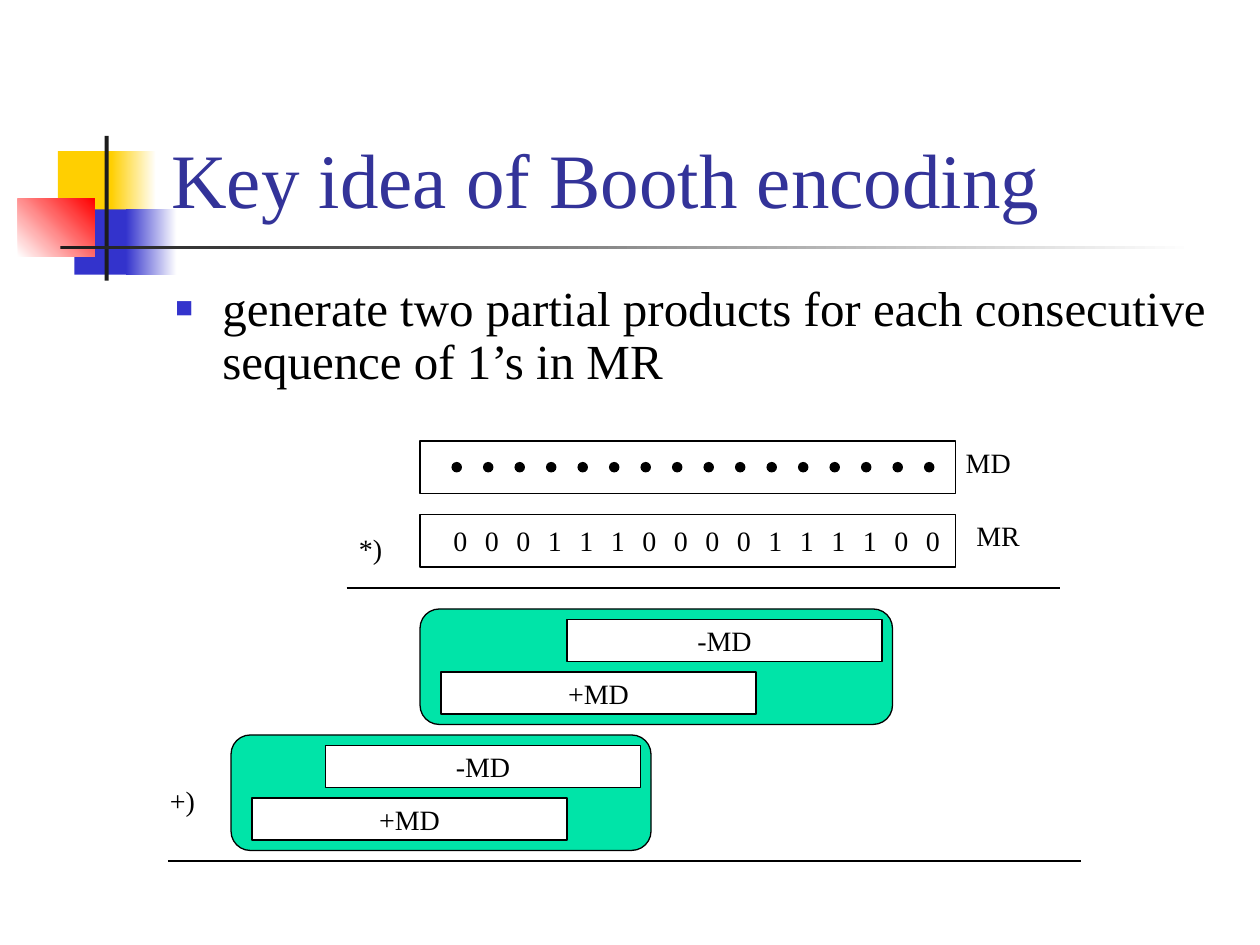
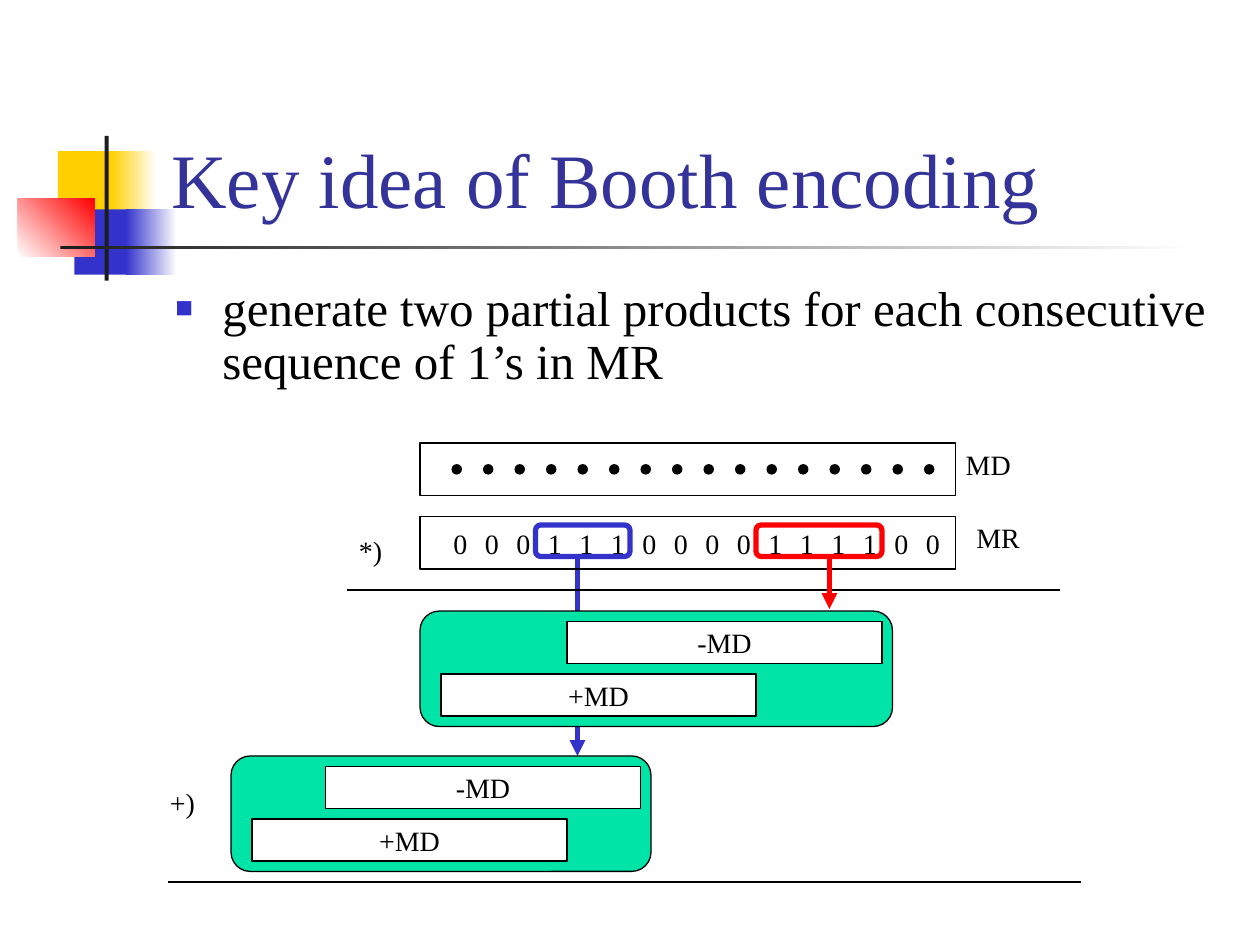
from dataclasses import dataclass

from lxml import etree
from pptx import Presentation
from pptx.dml.color import RGBColor
from pptx.enum.shapes import MSO_CONNECTOR, MSO_SHAPE
from pptx.enum.text import MSO_ANCHOR, MSO_AUTO_SIZE, PP_ALIGN
from pptx.oxml.ns import qn
from pptx.util import Cm, Pt


@dataclass(frozen=True)
class Theme:
    font: str = "Times New Roman"
    title_size: int = 44
    body_size: int = 28
    label_size: int = 16
    thin: float = 0.75
    thick: float = 3
    title: str = "333399"
    ink: str = "000000"
    paper: str = "FFFFFF"
    dark: str = "1C1C1C"
    yellow: str = "FFCF01"
    blue: str = "3333CC"
    red: str = "FF0000"
    green: str = "00E4A8"


THEME = Theme()
TITLE = "Key idea of Booth encoding"
BODY = "generate two partial products for each consecutive sequence of 1’s in MR"
MULTIPLIER = "0001110000111100"

# The figure sits on a grid of twelfths of an inch
UNIT = Cm(2.54) / 12
BIT = 3            # width of one bit, in grid units
FIRST_BIT = 27     # left edge of the first bit
DIGIT_TOP = 8
SECOND_TOP = 28    # top of the second pair of partial products


def rgb(value):
    return RGBColor.from_string(value)


def units(*values):
    return [round(value * UNIT) for value in values]


class Region:
    """A drawing area with its own origin, measured in grid units."""

    def __init__(self, shapes, left, top):
        self.shapes, self.left, self.top = shapes, left, top

    def box(self, x, y, w, h):
        return units(self.left + x, self.top + y, w, h)

    def inner(self, x, y):
        return Region(self.shapes, self.left + x, self.top + y)


# Basic drawing helpers

def style_run(paragraph, text, size, color):
    run = paragraph.add_run()
    run.text = text
    run.font.name, run.font.size = THEME.font, Pt(size)
    run.font.color.rgb = rgb(color)


def write_label(shape, text, centred=True):
    frame = shape.text_frame
    frame.word_wrap = False
    paragraph = frame.paragraphs[0]
    if centred:
        frame.vertical_anchor = MSO_ANCHOR.MIDDLE
        paragraph.alignment = PP_ALIGN.CENTER
    else:
        frame.auto_size = MSO_AUTO_SIZE.SHAPE_TO_FIT_TEXT
    style_run(paragraph, text, THEME.label_size, THEME.ink)


def add_shape(shapes, kind, box, fill=None, line=None, width=THEME.thin):
    shape = shapes.add_shape(kind, *box)
    shape.shadow.inherit = False
    if fill:
        shape.fill.solid()
        shape.fill.fore_color.rgb = rgb(fill)
    else:
        shape.fill.background()
    if line:
        shape.line.color.rgb = rgb(line)
        shape.line.width = Pt(width)
    else:
        shape.line.fill.background()
    return shape


def add_text(region, text, x, y, w, h, centred=False):
    write_label(region.shapes.add_textbox(*region.box(x, y, w, h)), text, centred)


def add_line(region, start, end, color=THEME.ink, width=THEME.thin, arrow=False):
    x1, y1, _, _ = region.box(*start, 0, 0)
    x2, y2, _, _ = region.box(*end, 0, 0)
    line = region.shapes.add_connector(MSO_CONNECTOR.STRAIGHT, x1, y1, x2, y2)
    line.line.color.rgb = rgb(color)
    line.line.width = Pt(width)
    properties = line.element.spPr
    if arrow:
        etree.SubElement(properties.find(qn("a:ln")), qn("a:tailEnd"), type="triangle")
    etree.SubElement(properties, qn("a:effectLst"))


# Shared look: coloured blocks and rules on the layout

def decorate_layout(layout, slide):
    t = THEME
    blocks = [  # box in cm, first colour, last colour, angle
        ((1.17, 3.05, 1.22, 1.32), t.yellow, None, 0),
        ((2.24, 3.05, 0.91, 1.32), t.yellow, t.paper, 0),
        ((1.5, 4.22, 1.17, 1.32), t.blue, None, 0),
        ((2.54, 4.22, 1.02, 1.32), t.blue, t.paper, 0),
        ((0.36, 4.01, 1.55, 1.17), t.paper, t.red, 45),
        ((2.11, 2.74, 0.08, 2.92), t.dark, None, 0),
        ((1.22, 4.95, 22.86, 0.08), t.dark, t.paper, 0),
    ]
    for box, first, last, angle in blocks:
        block = add_shape(slide.shapes, MSO_SHAPE.RECTANGLE, [Cm(v) for v in box], first)
        if last:
            block.fill.gradient()
            block.fill.gradient_angle = angle
            for stop, color in zip(block.fill.gradient_stops, (first, last)):
                stop.color.rgb = rgb(color)
        layout.shapes.element.append(block.element)


def place(placeholder, left, top, width, height):
    placeholder.left, placeholder.top = Cm(left), Cm(top)
    placeholder.width, placeholder.height = Cm(width), Cm(height)
    placeholder.text_frame.auto_size = MSO_AUTO_SIZE.NONE
    return placeholder.text_frame


def fill_title(placeholder):
    frame = place(placeholder, 3.2, 0.58, 21.64, 4.06)
    frame.vertical_anchor = MSO_ANCHOR.BOTTOM
    frame.paragraphs[0].alignment = PP_ALIGN.LEFT
    style_run(frame.paragraphs[0], TITLE, THEME.title_size, THEME.title)


def fill_body(placeholder):
    paragraph = place(placeholder, 3.28, 5.61, 21.59, 2.44).paragraphs[0]
    paragraph.line_spacing = 0.9
    style_run(paragraph, BODY, THEME.body_size, THEME.ink)
    # Square bullet with a hanging indent
    properties = next(placeholder.element.iter(qn("a:pPr")))
    properties.set("marL", str(Cm(0.95)))
    properties.set("indent", str(-Cm(0.95)))
    color = etree.SubElement(properties, qn("a:buClr"))
    etree.SubElement(color, qn("a:srgbClr"), val=THEME.blue)
    etree.SubElement(properties, qn("a:buSzPct"), val="60000")
    etree.SubElement(properties, qn("a:buFont"), typeface=THEME.font)
    etree.SubElement(properties, qn("a:buChar"), char="■")


# Multiplication figure

def draw_operands(region):
    for top in (0, 7):
        add_shape(region.shapes, MSO_SHAPE.RECTANGLE, region.box(25, top, 51, 5),
                  line=THEME.ink)
    for index, digit in enumerate(MULTIPLIER):
        x = FIRST_BIT + index * BIT
        add_shape(region.shapes, MSO_SHAPE.OVAL, region.box(x + 1, 2, 1, 1), THEME.ink)
        add_text(region, digit, x, DIGIT_TOP, BIT, BIT, centred=True)
    add_text(region, "MD", 75.8, -0.2, 6.7, 4.4)
    add_text(region, "MR", 76.8, 6.8, 6.6, 4.4)
    add_text(region, "*)", 18, 8, 4.7, 4.4)
    add_line(region, (18, 14), (86, 14))


def draw_partial_products(region, width):
    add_shape(region.shapes, MSO_SHAPE.ROUNDED_RECTANGLE, region.box(0, 0, width, 11),
              THEME.green, THEME.ink)
    bar = 30
    for text, x, y in (("+MD", 2, 6), ("-MD", width - 1 - bar, 1)):
        shape = add_shape(region.shapes, MSO_SHAPE.RECTANGLE, region.box(x, y, bar, 4),
                          THEME.paper, THEME.ink)
        write_label(shape, text)


def draw_multiplication(slide, left, top, second_top):
    region = Region(slide.shapes.add_group_shape().shapes, left, top)
    draw_operands(region)
    add_text(region, "+)", 0, 32, 4.8, 4.4)
    add_line(region, (1, second_top + 12), (88, second_top + 12))
    draw_partial_products(region.inner(25, 16), 45)
    draw_partial_products(region.inner(7, second_top), 40)


def frame_run(region, first, count, color):
    box = region.box(FIRST_BIT + first * BIT, DIGIT_TOP, count * BIT, BIT)
    add_shape(region.shapes, MSO_SHAPE.ROUNDED_RECTANGLE, box, line=color,
              width=THEME.thick)


def draw_arrow(region, x, end, color):
    add_line(region, (x, DIGIT_TOP + BIT), (x, end), color, THEME.thick, arrow=True)


# Slides

def new_slide(deck, layout):
    slide = deck.slides.add_slide(layout)
    fill_title(slide.shapes.title)
    fill_body(slide.placeholders[1])
    return slide


def plain_slide(slide):
    draw_multiplication(slide, 15, 42, SECOND_TOP)


def marked_slide(slide):
    marks = Region(slide.shapes, 15, 42)
    draw_arrow(marks, 40, 30, THEME.blue)  # passes behind the figure
    draw_multiplication(slide, 15, 42.2, SECOND_TOP + 1.8)
    frame_run(marks, 10, 4, THEME.red)
    draw_arrow(marks, 64, 16, THEME.red)
    frame_run(marks, 3, 3, THEME.blue)


def main():
    deck = Presentation()
    deck.slide_width, deck.slide_height = Cm(25.4), Cm(19.05)
    layout = deck.slide_layouts[1]
    first, second = new_slide(deck, layout), new_slide(deck, layout)
    decorate_layout(layout, first)
    plain_slide(first)
    marked_slide(second)
    deck.save("out.pptx")


main()
